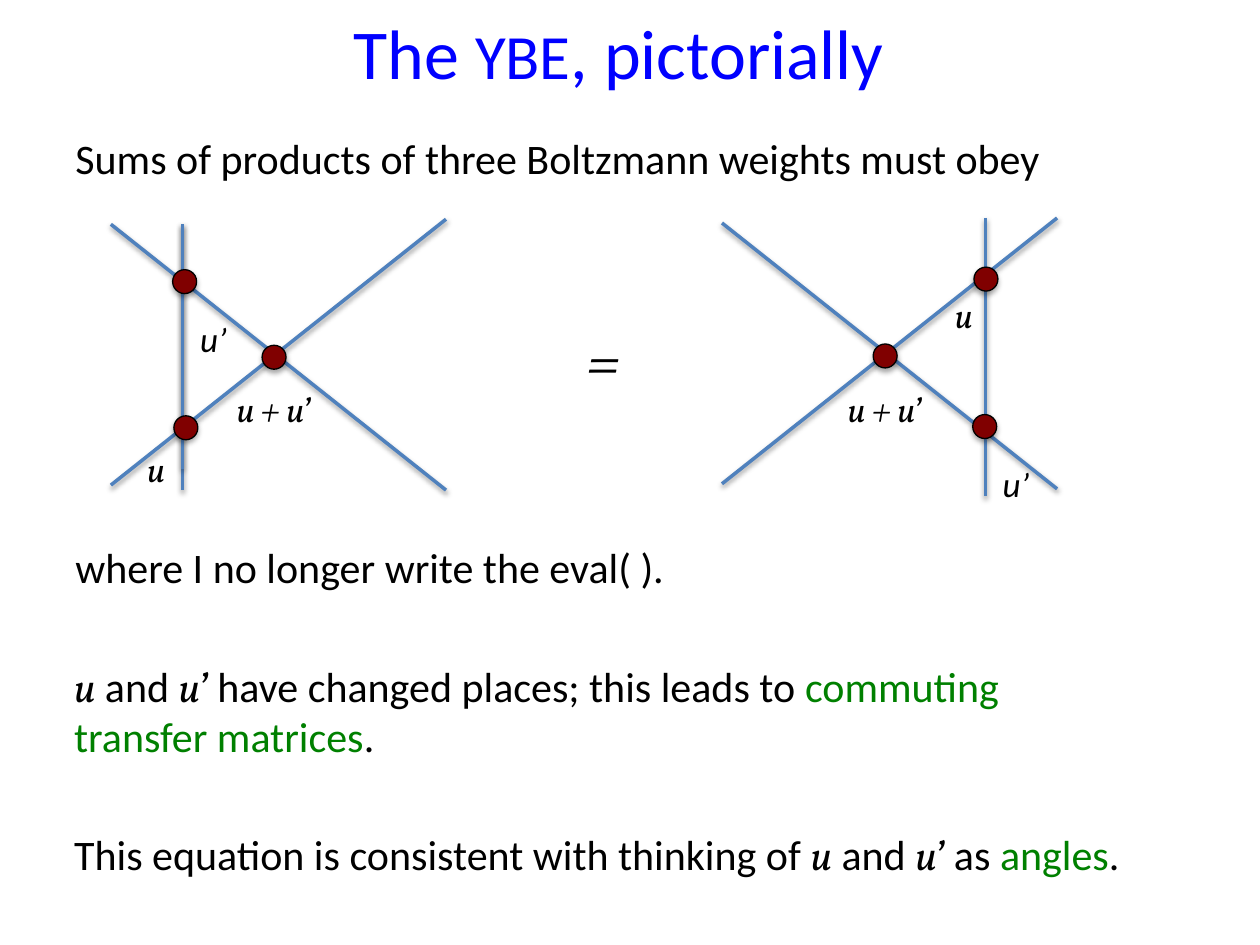
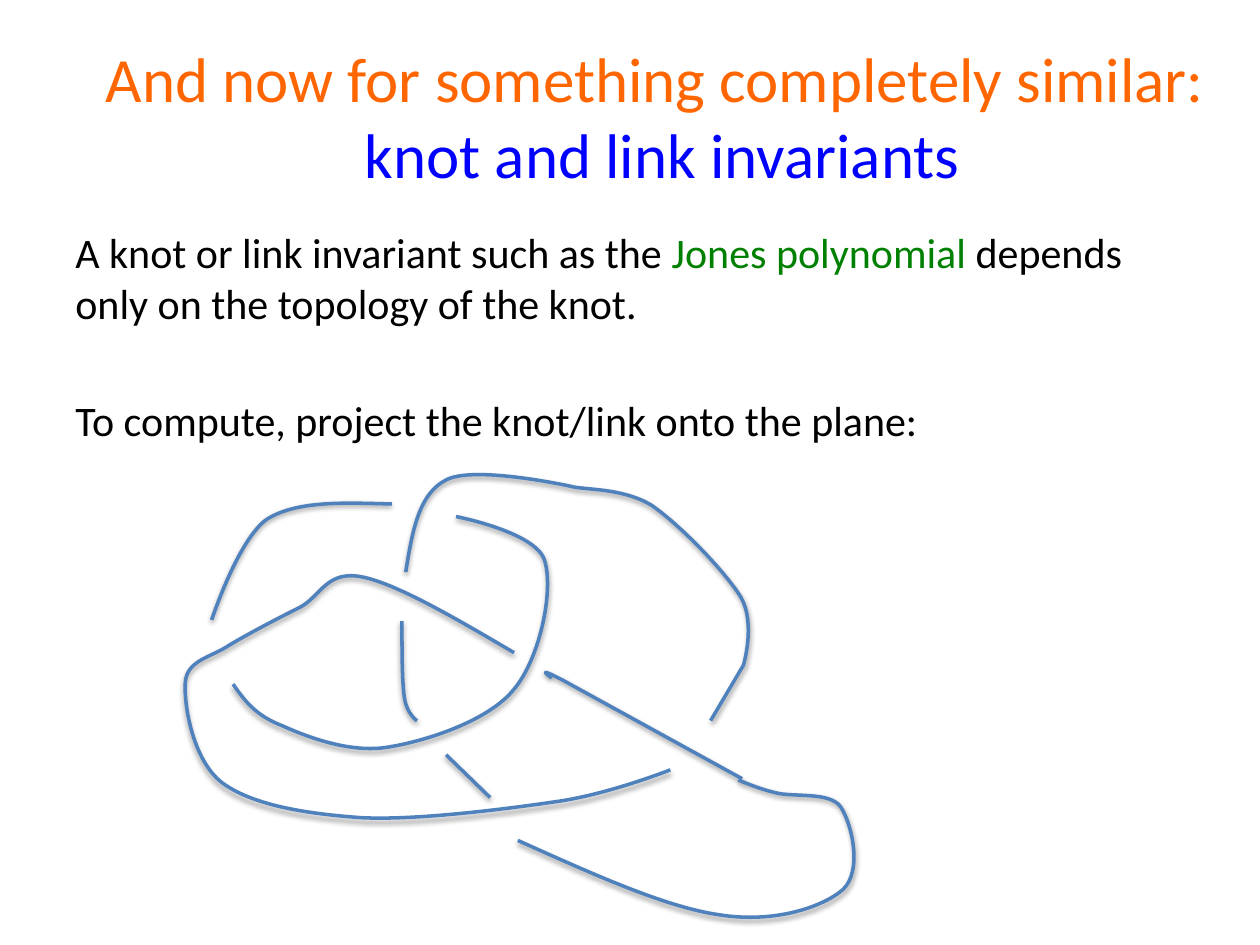
from lxml import etree
from pptx import Presentation
from pptx.dml.color import RGBColor
from pptx.enum.shapes import MSO_CONNECTOR, MSO_SHAPE
from pptx.enum.text import MSO_ANCHOR, PP_ALIGN
from pptx.oxml.ns import qn
from pptx.util import Inches, Pt

COLORS = {
    "title": "0000FF",
    "accent": "FF6600",
    "term": "008000",
    "text": "000000",
    "strand": "4F81BD",
    "vertex": "800000",
}
TEXT_FONT = "Calibri"
MATH_FONT = "Vollkorn"
VERTEX_SIZE = 0.19
LINE_BREAK = ("\n", None)

# Each style: font, size, colour, italic
STYLES = {
    "title": (TEXT_FONT, 40, "title", False),
    "title small": (TEXT_FONT, 36, "title", False),
    "title accent": (TEXT_FONT, 36, "accent", False),
    "body": (TEXT_FONT, 24, "text", False),
    "term": (TEXT_FONT, 24, "term", False),
    "math": (MATH_FONT, 24, "text", True),
    "label": (MATH_FONT, 20, "text", True),
    "plain label": (TEXT_FONT, 20, "text", True),
    "equals": (MATH_FONT, 36, "text", True),
}

# Each strand: both ends; vertex: left, top; label: text, left, top, width, style
LEFT_SIDE = {
    "strands": [
        (1.45, 1.78, 1.45, 3.89),
        (0.88, 1.78, 3.54, 3.89),
        (3.54, 1.74, 0.88, 3.85),
        (1.45, 1.78, 1.45, 3.72),
    ],
    "vertices": [(1.37, 2.14), (2.08, 2.74), (1.38, 3.3)],
    "labels": [
        ("u", 1.07, 3.5, 0.39, "label"),
        ("u’", 1.49, 2.47, 0.63, "plain label"),
        ("u + u’", 1.78, 3.03, 0.86, "label"),
    ],
}
RIGHT_SIDE = {
    "strands": [
        (5.73, 1.77, 8.39, 3.88),
        (8.39, 1.73, 5.73, 3.84),
        (7.82, 1.73, 7.82, 3.94),
    ],
    "vertices": [(7.73, 2.12), (6.93, 2.73), (7.72, 3.29)],
    "labels": [
        ("u", 7.48, 2.28, 0.39, "label"),
        ("u’", 7.86, 3.62, 0.53, "plain label"),
        ("u + u’", 6.63, 3.03, 0.96, "label"),
    ],
}

# Each arc: bounds (left, top, width, height), start point,
# then line ends (2 numbers) or cubic curves (6 numbers)
KNOT_ARCS = [
    [(1.85, 4.1, 2.5, 1.84), (1.85, 5.43), (1.94, 5.56, 2.03, 5.68, 2.24, 5.76),
     (2.44, 5.85, 2.78, 5.98, 3.08, 5.93), (3.39, 5.88, 3.88, 5.72, 4.08, 5.47),
     (4.29, 5.22, 4.4, 4.67, 4.32, 4.44), (4.24, 4.22, 3.62, 4.1, 3.62, 4.1)],
    [(3.22, 3.77, 2.72, 1.96), (3.22, 4.54), (3.27, 4.23, 3.32, 3.92, 3.54, 3.81),
     (3.76, 3.69, 4.53, 3.86, 4.53, 3.86), (4.63, 3.89, 4.94, 3.87, 5.17, 4.01),
     (5.39, 4.16, 5.75, 4.53, 5.88, 4.74), (6, 4.95, 5.9, 5.28, 5.9, 5.28),
     (5.64, 5.72)],
    [(4.33, 5.33, 1.56, 0.85), (5.89, 6.18), (4.47, 5.4),
     (4.22, 5.27, 4.38, 5.38, 4.38, 5.38)],
    [(1.47, 4.57, 3.85, 1.92), (4.08, 5.18), (3.62, 4.91, 3.16, 4.64, 2.88, 4.58),
     (2.59, 4.52, 2.55, 4.73, 2.38, 4.82), (2.2, 4.91, 1.97, 5.03, 1.82, 5.12),
     (1.67, 5.22, 1.48, 5.24, 1.47, 5.42), (1.46, 5.6, 1.53, 6.03, 1.76, 6.21),
     (2, 6.39, 2.43, 6.46, 2.88, 6.49), (3.32, 6.51, 4.02, 6.42, 4.43, 6.36),
     (4.84, 6.3, 5.32, 6.11, 5.32, 6.11)],
    [(1.68, 3.99, 1.43, 0.92), (3.11, 4), (2.74, 3.99, 2.36, 3.97, 2.12, 4.12),
     (1.89, 4.28, 1.68, 4.92, 1.68, 4.92)],
    [(3.19, 4.93, 0.11, 0.79), (3.19, 4.93), (3.19, 5.17, 3.19, 5.41, 3.21, 5.54),
     (3.23, 5.67, 3.31, 5.72, 3.31, 5.72)],
    [(3.54, 5.99, 0.35, 0.35), (3.54, 5.99), (3.89, 6.33)],
    [(4.11, 6.19, 2.67, 1.09), (4.11, 6.67), (4.69, 6.93, 5.28, 7.2, 5.71, 7.26),
     (6.14, 7.33, 6.53, 7.2, 6.69, 7.06), (6.85, 6.91, 6.76, 6.53, 6.67, 6.4),
     (6.58, 6.28, 6.29, 6.33, 6.15, 6.29), (6.02, 6.26, 5.86, 6.19, 5.86, 6.19)],
]


def rgb(name):
    return RGBColor.from_string(COLORS[name])


def add_shadow(shape, distance=1.6, opacity=38):
    """Give the shape a soft shadow below it; call after its line is set."""
    effects = etree.SubElement(shape._element.spPr, qn("a:effectLst"))
    shadow = etree.SubElement(
        effects, qn("a:outerShdw"), blurRad=str(Pt(3.1)), dist=str(Pt(distance)),
        dir="5400000", rotWithShape="0")
    color = etree.SubElement(shadow, qn("a:srgbClr"), val=COLORS["text"])
    etree.SubElement(color, qn("a:alpha"), val=str(opacity * 1000))


def style_strand(shape):
    shape.line.color.rgb = rgb("strand")
    shape.line.width = Pt(2)
    add_shadow(shape)


def add_text(page, left, top, width, height, *paragraphs, gap=0):
    """Add a text box; each paragraph is a list of (text, style) spans."""
    box = page.shapes.add_textbox(
        Inches(left), Inches(top), Inches(width), Inches(height))
    frame = box.text_frame
    frame.word_wrap = True
    for index, spans in enumerate(paragraphs):
        paragraph = frame.add_paragraph() if index else frame.paragraphs[0]
        if index and gap:
            paragraph.space_before = Pt(gap)
        for text, style in spans:
            if (text, style) == LINE_BREAK:
                paragraph.add_line_break()
                continue
            span = paragraph.add_run()
            span.text = text
            font, size, color, italic = STYLES[style]
            span.font.name = font
            span.font.size = Pt(size)
            span.font.color.rgb = rgb(color)
            span.font.italic = italic
    return box


def add_title(page, top, width, height, spans):
    frame = add_text(page, 0.5, top, width, height, spans).text_frame
    frame.vertical_anchor = MSO_ANCHOR.MIDDLE
    frame.paragraphs[0].alignment = PP_ALIGN.CENTER


def add_strand(page, *ends):
    strand = page.shapes.add_connector(
        MSO_CONNECTOR.STRAIGHT, *[Inches(value) for value in ends])
    style_strand(strand)


def add_vertex(page, left, top):
    vertex = page.shapes.add_shape(
        MSO_SHAPE.OVAL, Inches(left), Inches(top),
        Inches(VERTEX_SIZE), Inches(VERTEX_SIZE))
    vertex.fill.solid()
    vertex.fill.fore_color.rgb = rgb("vertex")
    vertex.line.color.rgb = rgb("text")
    vertex.line.width = Pt(0.75)
    add_shadow(vertex, 1.8, 35)


def add_diagram(page, side):
    for ends in side["strands"]:
        add_strand(page, *ends)
    for text, left, top, width, style in side["labels"]:
        add_text(page, left, top, width, 0.44, [(text, style)])
    for corner in side["vertices"]:
        add_vertex(page, *corner)


def bend_outline(arc, bounds, start, segments):
    """Fit the arc to its bounds and turn its six-number segments into curves."""
    arc.left, arc.top, arc.width, arc.height = [Inches(value) for value in bounds]
    outline = arc._element.spPr.find(".//" + qn("a:path"))
    outline.set("w", str(arc.width))
    outline.set("h", str(arc.height))
    for step, segment in zip(list(outline), [start, *segments]):
        if len(segment) == 6:
            step.tag = qn("a:cubicBezTo")
        for point in list(step):
            step.remove(point)
        for x, y in zip(segment[::2], segment[1::2]):
            etree.SubElement(step, qn("a:pt"), x=str(Inches(x) - arc.left),
                             y=str(Inches(y) - arc.top))


def add_arc(page, bounds, start, *segments):
    builder = page.shapes.build_freeform(*start, scale=Inches(1))
    builder.add_line_segments([segment[-2:] for segment in segments], close=False)
    arc = builder.convert_to_shape()
    bend_outline(arc, bounds, start, segments)
    arc.fill.background()
    style_strand(arc)


def add_equation_page(page):
    add_title(page, 0, 8.82, 0.81, [
        ("The ", "title"), ("YBE", "title small"), (", pictorially", "title")])
    add_text(page, 0.5, 1, 8.32, 0.61, [
        ("Sums of products of three Boltzmann weights must obey", "body")])
    add_diagram(page, LEFT_SIDE)
    add_diagram(page, RIGHT_SIDE)
    equals = add_text(page, 4.56, 2.49, 0.6, 0.71, [("=", "equals")])
    equals.text_frame.word_wrap = False
    add_text(page, 0.5, 4.25, 6.53, 0.61, [
        ("where I no longer write the eval( ).", "body")])
    add_text(page, 0.49, 5.19, 8.65, 0.85, [
        ("u", "math"), (" and ", "body"), ("u’", "math"),
        (" have changed places; this leads to ", "body"),
        ("commuting transfer matrices", "term"), (".", "body")])
    add_text(page, 0.49, 6.53, 8.69, 0.5, [
        ("This equation is consistent with thinking of ", "body"),
        ("u", "math"), (" and ", "body"), ("u’", "math"),
        (" as ", "body"), ("angles", "term"), (".", "body")])


def add_knot_page(page):
    add_title(page, 0.29, 9.4, 1.25, [
        ("And now for something completely similar:", "title accent"),
        LINE_BREAK,
        (" knot and link invariants", "title small")])
    add_text(
        page, 0.5, 1.75, 9, 4.95,
        [("A knot or link invariant such as the ", "body"),
         ("Jones polynomial ", "term"),
         ("depends only on the topology of the knot.", "body")],
        [("To compute, project the knot/link onto the plane:", "body")],
        gap=38)
    for arc in KNOT_ARCS:
        add_arc(page, *arc)


def main():
    deck = Presentation()
    deck.slide_width = Inches(10)
    deck.slide_height = Inches(7.5)
    blank = deck.slide_layouts[6]
    for add_content in (add_equation_page, add_knot_page):
        add_content(deck.slides.add_slide(blank))
    deck.save("out.pptx")


if __name__ == "__main__":
    main()
